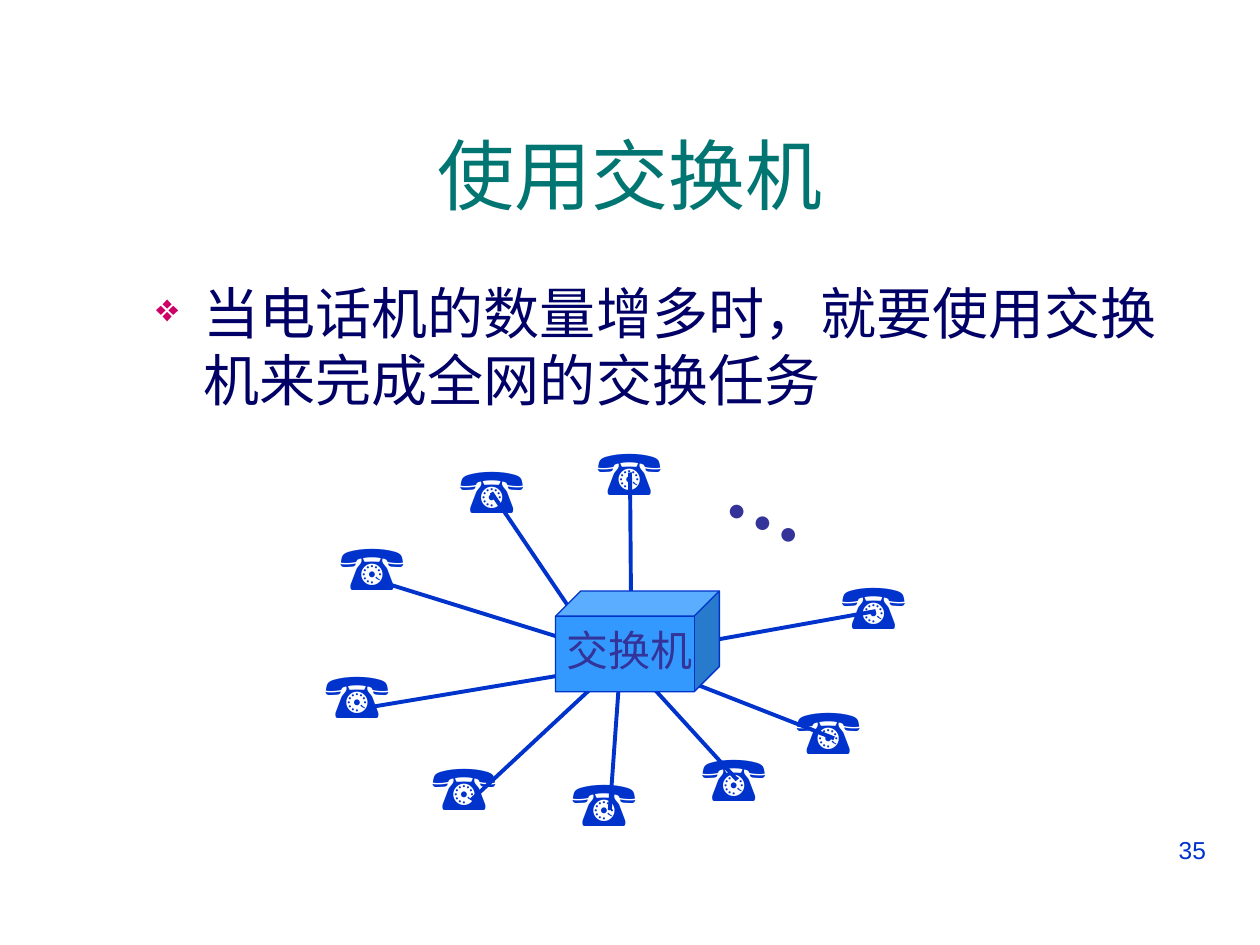
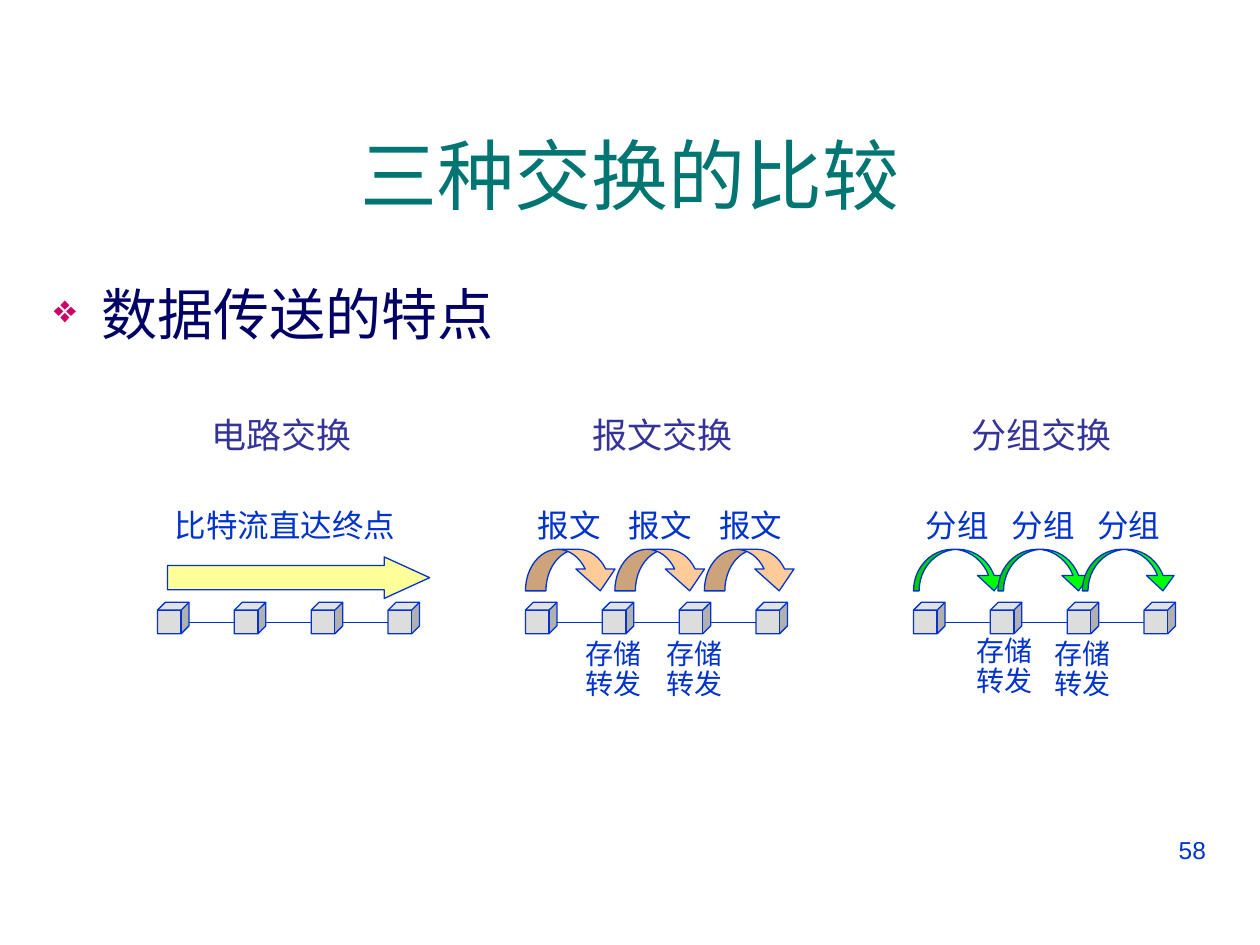
"""Build two slides on telephone switches and the three kinds of switching."""
from dataclasses import dataclass

from lxml import etree
from pptx import Presentation
from pptx import util as u
from pptx.dml.color import RGBColor
from pptx.enum import shapes, text
from pptx.oxml.ns import qn


@dataclass(frozen=True)
class Theme:
    title: str = "007572"
    body: str = "000066"
    bullet: str = "CC0066"
    ink: str = "0033CC"
    label: str = "333399"
    switch: str = "3399FF"
    node: str = "DDDDDD"
    stream: str = "FFFF99"
    message: str = "FFCC99"
    packet: str = "00FF00"
    sans: str = "Arial"
    body_font: str = "Lato"
    serif: str = "Times New Roman"
    title_size: int = 44
    body_size: int = 32
    dots_size: int = 48
    phone_size: int = 36
    switch_size: int = 24
    heading_size: int = 20
    caption_size: int = 18
    note_size: int = 16
    number_size: int = 14
    thin: float = 0.75
    thick: float = 2.25


class Deck:
    def __init__(self, theme):
        self.theme = theme
        self.presentation = Presentation()
        self.presentation.slide_width = u.Inches(10)
        self.presentation.slide_height = u.Inches(7.5)
        self.slide = None

    def add_slide(self, title, number):
        theme = self.theme
        self.slide = self.presentation.slides.add_slide(self.presentation.slide_layouts[6])
        self.text((7.17, 6.58, 2.5, 0.52), [number], theme.number_size, theme.sans,
                  theme.ink, wrap=True, align=text.PP_ALIGN.RIGHT)
        box = self.text((0.33, 0.75, 9.34, 1.25), [title], theme.title_size, theme.sans,
                        theme.title, wrap=True, align=text.PP_ALIGN.CENTER)
        box.text_frame.vertical_anchor = text.MSO_ANCHOR.MIDDLE

    def text(self, place, lines, size, font, color, wrap=False, align=None,
             spacing=None, bold=None):
        box = self.slide.shapes.add_textbox(*map(u.Inches, place))
        frame = box.text_frame
        frame.word_wrap = wrap
        if not wrap:
            frame.auto_size = text.MSO_AUTO_SIZE.SHAPE_TO_FIT_TEXT
        for index, line in enumerate(lines):
            paragraph = frame.add_paragraph() if index else frame.paragraphs[0]
            paragraph.alignment = align
            paragraph.line_spacing = spacing
            run = paragraph.add_run()
            run.text = line
            run.font.size = u.Pt(size)
            run.font.name = font
            run.font.bold = bold
            run.font.color.rgb = RGBColor.from_string(color)
        return box

    def bullet(self, place, line):
        theme = self.theme
        box = self.text(place, [line], theme.body_size, theme.body_font, theme.body, wrap=True)
        paragraph = box.text_frame.paragraphs[0]
        paragraph.space_before = u.Pt(theme.body_size * 0.2)
        properties = paragraph._p.get_or_add_pPr()
        properties.set("marL", str(u.Inches(0.38)))
        properties.set("indent", str(-u.Inches(0.38)))
        color = etree.SubElement(properties, qn("a:buClr"))
        etree.SubElement(color, qn("a:srgbClr"), val=theme.bullet)
        etree.SubElement(properties, qn("a:buSzPct"), val="70000")
        etree.SubElement(properties, qn("a:buChar"), char="❖")

    def caption(self, place, lines, size):
        self.text(place, lines, size, self.theme.serif, self.theme.ink, spacing=0.9)

    def line(self, start, end, width):
        connector = self.slide.shapes.add_connector(
            shapes.MSO_CONNECTOR.STRAIGHT, *map(u.Inches, (*start, *end)))
        connector.line.color.rgb = RGBColor.from_string(self.theme.ink)
        connector.line.width = u.Pt(width)
        etree.SubElement(connector._element.spPr, qn("a:effectLst"))

    def shape(self, kind, place, fill, adjustments):
        shape = self.slide.shapes.add_shape(kind, *map(u.Inches, place))
        shape.shadow.inherit = False
        shape.fill.solid()
        shape.fill.fore_color.rgb = RGBColor.from_string(fill)
        shape.line.color.rgb = RGBColor.from_string(self.theme.ink)
        shape.line.width = u.Pt(self.theme.thin)
        for index, value in enumerate(adjustments):
            shape.adjustments[index] = value

    def cube(self, place, fill):
        self.shape(shapes.MSO_SHAPE.CUBE, place, fill, [0.25])

    def node_chain(self, left):
        self.line((left + 0.08, 4.94), (left + 1.92, 4.94), self.theme.thin)
        for index in range(4):
            self.cube((left + index * 0.61, 4.78, 0.25, 0.25), self.theme.node)

    def hops(self, left, caption, fill, adjustments, arrow_step, caption_step):
        for index in range(3):
            self.shape(shapes.MSO_SHAPE.CURVED_DOWN_ARROW,
                       (left + index * arrow_step, 4.36, 0.75, 0.33), fill, adjustments)
        for index in range(3):
            self.caption((left + index * caption_step, 4, 0.7, 0.37), [caption],
                         self.theme.caption_size)


def switch_slide(deck):
    theme = deck.theme
    deck.add_slide("使用交换机", "35")
    deck.bullet((1.14, 2.16, 8.5, 4.5), "当电话机的数量增多时，就要使用交换机来完成全网的交换任务")
    dots = deck.text((5.71, 3.51, 0.87, 0.9), ["…"], theme.dots_size, theme.serif,
                     theme.label, bold=True)
    dots.rotation = 24.3
    phones = [
        ((4.64, 3.38), (5, 3.75), (5.01, 5.01)),
        ((6.58, 4.45), (6.95, 4.85), (5.39, 5.13)),
        ((6.22, 5.44), (6.62, 5.86), (5.24, 5.32)),
        ((5.47, 5.81), (5.85, 6.19), (4.92, 5.17)),
        ((4.44, 6.01), (4.84, 6.43), (4.92, 5.32)),
        ((3.33, 5.88), (3.74, 6.35), (4.76, 5.4)),
        ((2.48, 5.15), (2.95, 5.61), (4.69, 5.32)),
        ((2.6, 4.14), (3.03, 4.62), (4.64, 5.12)),
        ((3.55, 3.53), (3.9, 3.91), (4.57, 4.9)),
    ]
    for corner, phone_end, switch_end in phones:
        deck.line(phone_end, switch_end, theme.thick)
        deck.text((*corner, 0.87, 0.7), ["☎"], theme.phone_size, theme.serif, theme.ink)
    deck.cube((4.41, 4.69, 1.3, 0.8), theme.switch)
    deck.text((4.4, 4.91, 1.2, 0.5), ["交换机"], theme.switch_size, theme.serif, theme.label)


def comparison_slide(deck):
    theme = deck.theme
    deck.add_slide("三种交换的比较", "58")
    deck.bullet((0.33, 2.17, 9.34, 4.25), "数据传送的特点")
    columns = [("电路交换", 1.58, 1.25), ("报文交换", 4.6, 4.17), ("分组交换", 7.61, 7.25)]
    for heading, heading_left, chain_left in columns:
        deck.text((heading_left, 3.23, 1.31, 0.43), [heading], theme.heading_size,
                  theme.sans, theme.label)
        deck.node_chain(chain_left)
    deck.shape(shapes.MSO_SHAPE.RIGHT_ARROW, (1.33, 4.42, 2.08, 0.33), theme.stream,
               [0.583, 1.094])
    deck.caption((1.29, 4, 1.95, 0.37), ["比特流直达终点"], theme.caption_size)
    deck.hops(4.17, "报文", theme.message, [0.493, 0.943, 0.526], 0.71, 0.72)
    deck.hops(7.25, "分组", theme.packet, [0.135, 0.667, 0.37], 0.67, 0.68)
    for left, top in [(4.55, 5.03), (5.19, 5.03), (7.65, 5.01), (8.27, 5.03)]:
        deck.caption((left, top, 0.65, 0.58), ["存储", "转发"], theme.note_size)


def main():
    deck = Deck(Theme())
    switch_slide(deck)
    comparison_slide(deck)
    deck.presentation.save("out.pptx")


if __name__ == "__main__":
    main()
